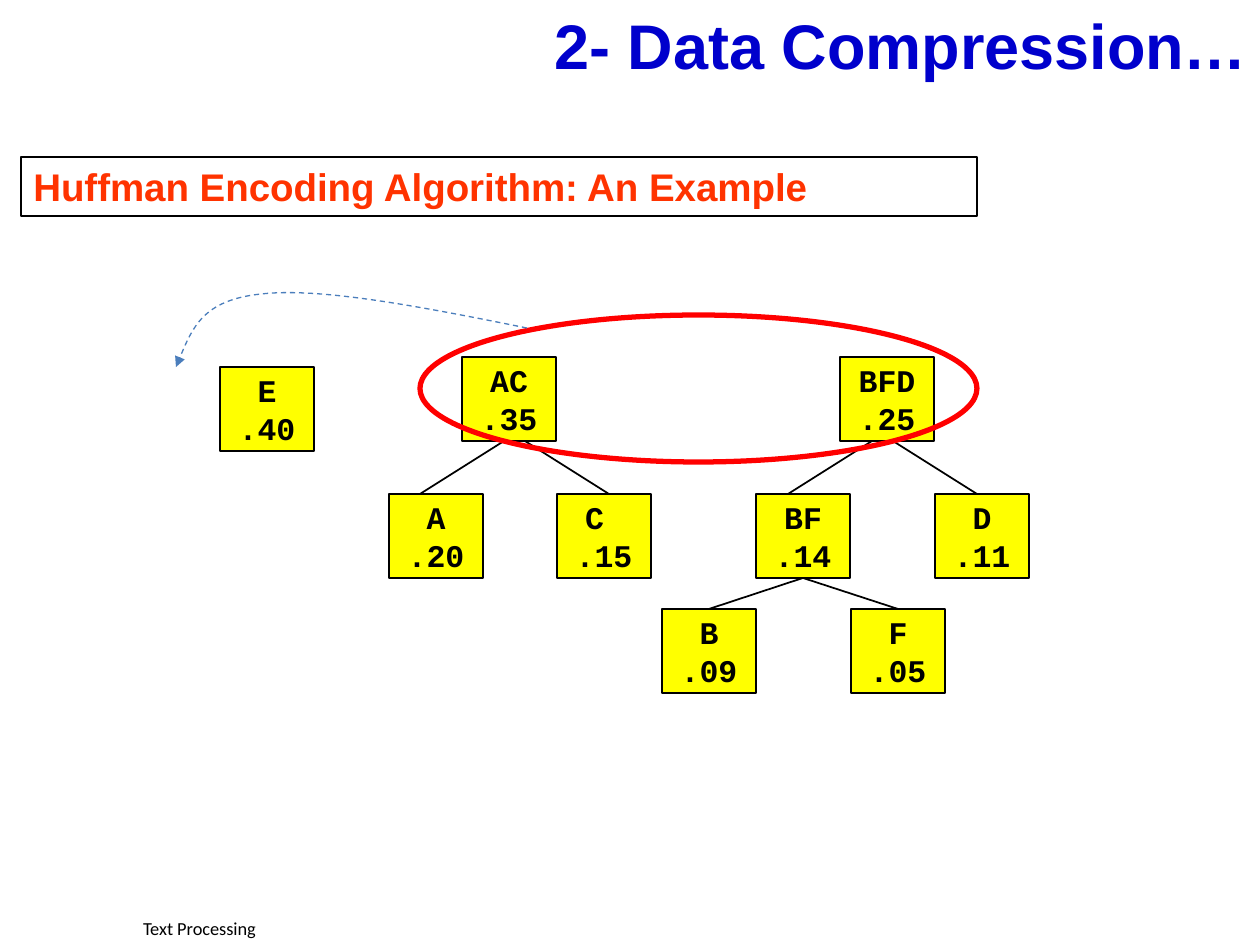
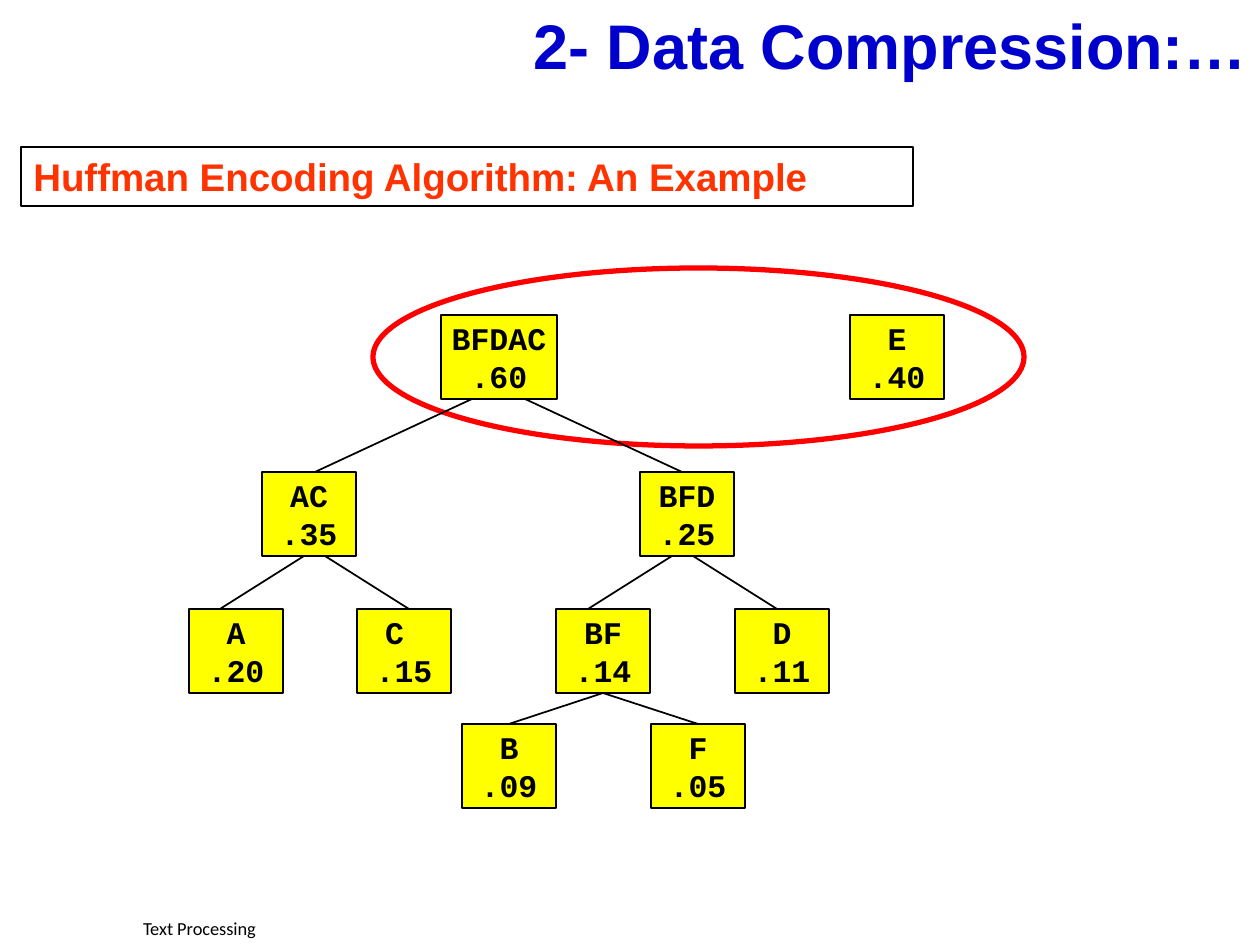
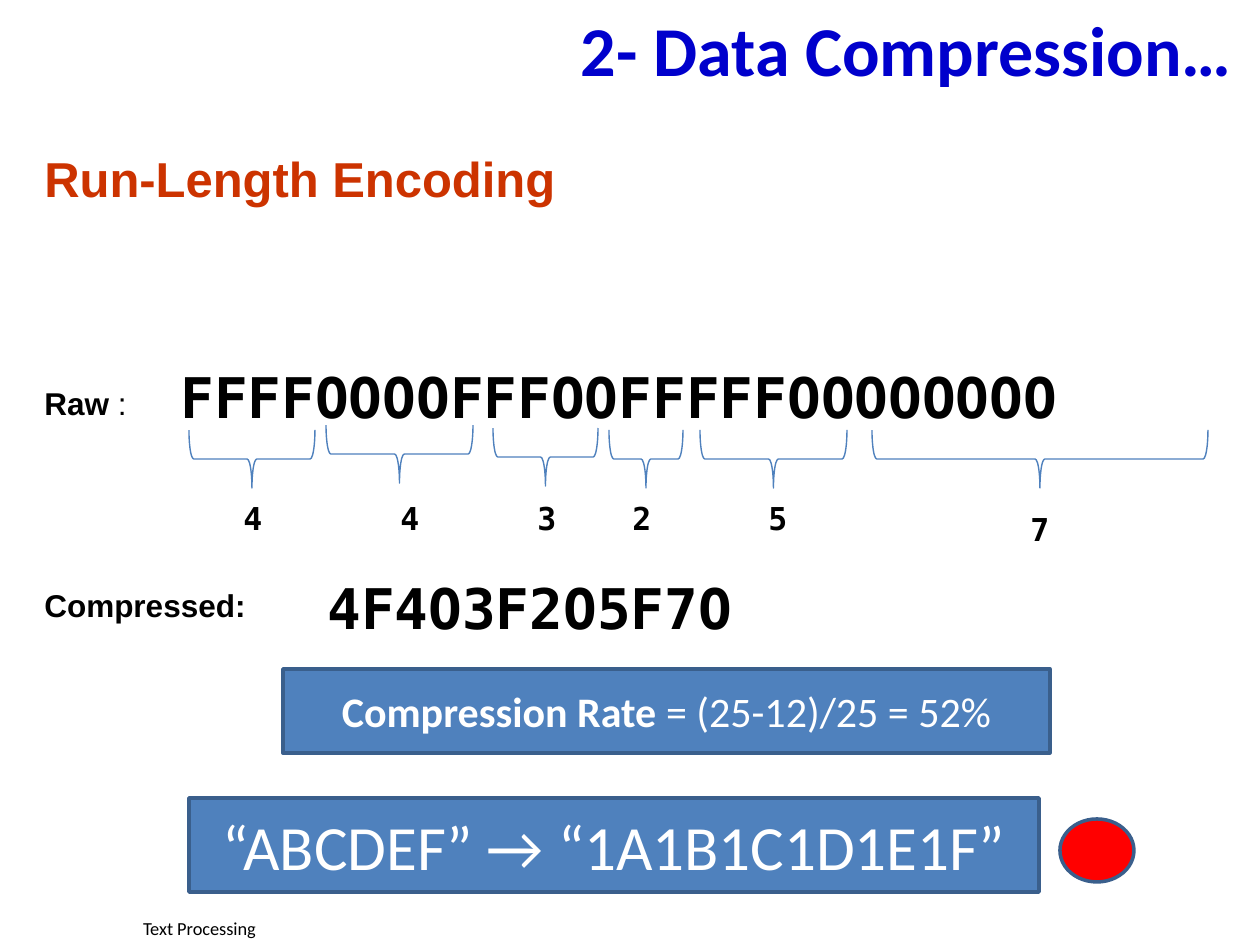
from lxml.etree import SubElement
from pptx import Presentation
from pptx.dml.color import RGBColor
from pptx.enum.dml import MSO_LINE
from pptx.enum.shapes import MSO_CONNECTOR, MSO_SHAPE
from pptx.enum.text import MSO_ANCHOR, MSO_AUTO_SIZE, PP_ALIGN
from pptx.oxml.ns import qn
from pptx.util import Emu, Pt

SCALE = 914400 / 126  # EMU in one pixel
PAGE_WIDTH, PAGE_HEIGHT = 1260, 945

COLOURS = {
    "black": "000000", "white": "FFFFFF", "title": "0000CC",
    "heading": "FF3300", "section": "CC3300", "node": "FFFF00",
    "red": "FF0000", "arrow": "4B7EBC", "panel": "4F81BD",
    "panel edge": "3A5F8C",
}

# Text formats
TITLE = {"name": "Arial", "size": 36, "bold": True, "color": "title"}
WIDE_TITLE = TITLE | {"name": "Calibri", "size": 40}
FOOTER = {"name": "Calibri", "size": 10.5, "bold": False, "color": "black"}
HEADING = {"name": "Arial", "size": 22, "bold": True, "color": "heading"}
SECTION = {"name": "Arial", "size": 28, "bold": True, "color": "section"}
NODE = {"name": "Courier New", "size": 18, "bold": True, "color": "black"}
LABEL = NODE | {"name": "Arial"}
COUNT = NODE | {"name": "DejaVu Sans Mono"}
CODE = COUNT | {"size": 32}
RATE = {"name": "Calibri", "size": 24, "bold": False, "color": "white"}
SAMPLE = RATE | {"size": 36}

# Tree geometry: offsets are taken from the top left corner of the root node
NODE_WIDTH, NODE_HEIGHT = 94, 84
AC_TREE = {
    "nodes": [("AC", ".35", 0, 0), ("A", ".20", -73, 137),
              ("C ", ".15", 95, 137)],
    "branches": [(42, 84, -42, 137), (63, 84, 147, 137)],
}
BFD_TREE = {
    "nodes": [("BFD", ".25", 0, 0), ("BF", ".14", -84, 137),
              ("D", ".11", 95, 137), ("B", ".09", -178, 252),
              ("F", ".05", 11, 252)],
    "branches": [(32, 84, -52, 137), (53, 84, 137, 137),
                 (-37, 221, -131, 252), (-37, 221, 58, 252)],
}


def px(value):
    return Emu(round(value * SCALE))


def colour(name):
    return RGBColor.from_string(COLOURS[name])


def write(shape, paragraphs, align=PP_ALIGN.LEFT, anchor=MSO_ANCHOR.TOP, wrap=True):
    """Fill a shape with paragraphs, each a list of (text, format) spans."""
    frame = shape.text_frame
    frame.auto_size = MSO_AUTO_SIZE.NONE
    frame.word_wrap, frame.vertical_anchor = wrap, anchor
    for index, spans in enumerate(paragraphs):
        para = frame.add_paragraph() if index else frame.paragraphs[0]
        para.alignment = align
        for text, style in spans:
            span = para.add_run()
            span.text = text
            for key, value in style.items():
                if key == "color":
                    span.font.color.rgb = colour(value)
                else:
                    setattr(span.font, key, Pt(value) if key == "size" else value)


def paint(shape, fill, line, width):
    shape.shadow.inherit = False
    if fill:
        shape.fill.solid()
        shape.fill.fore_color.rgb = colour(fill)
    else:
        shape.fill.background()
    shape.line.color.rgb = colour(line)
    shape.line.width = Pt(width)


def add_figure(page, kind, box, fill, line, width):
    shape = page.shapes.add_shape(kind, *map(px, box))
    paint(shape, fill, line, width)
    return shape


def add_text(page, box, spans, **layout):
    write(page.shapes.add_textbox(*map(px, box)), [spans], **layout)


def add_page(deck, title, box, style):
    """Start a slide with its title and footer."""
    page = deck.slides.add_slide(deck.slide_layouts[5])
    heading = page.shapes.title
    heading.left, heading.top, heading.width, heading.height = map(px, box)
    write(heading, [[(title, style)]], PP_ALIGN.RIGHT, MSO_ANCHOR.MIDDLE)
    add_text(page, (0, 911, 399, 34), [("Text Processing", FOOTER)],
             align=PP_ALIGN.CENTER, anchor=MSO_ANCHOR.MIDDLE)
    return page


def add_heading(page, box):
    shape = add_figure(page, MSO_SHAPE.RECTANGLE, box, None, "black", 0.75)
    write(shape, [[("Huffman Encoding Algorithm: An Example", HEADING)]])


def add_node(page, name, weight, left, top, width=NODE_WIDTH):
    shape = add_figure(page, MSO_SHAPE.RECTANGLE, (left, top, width, NODE_HEIGHT),
                       "node", "black", 1)
    write(shape, [[(name, NODE)], [(weight, NODE)]],
          PP_ALIGN.CENTER, MSO_ANCHOR.MIDDLE, False)


def add_branch(page, *ends):
    branch = page.shapes.add_connector(MSO_CONNECTOR.STRAIGHT, *map(px, ends))
    branch.line.color.rgb = colour("black")
    branch.line.width = Pt(1)
    SubElement(branch._element.spPr, qn("a:effectLst"))


def add_tree(page, tree, left, top):
    for x1, y1, x2, y2 in tree["branches"]:
        add_branch(page, left + x1, top + y1, left + x2, top + y2)
    for name, weight, x, y in tree["nodes"]:
        add_node(page, name, weight, left + x, top + y)


def add_ring(page, box):
    add_figure(page, MSO_SHAPE.OVAL, box, None, "red", 3)


def add_curved_arrow(page, start, points):
    """Draw a dashed Bezier curve; every three points make one segment."""
    builder = page.shapes.build_freeform(*start, scale=SCALE)
    builder.add_line_segments(points, close=False)
    arrow = builder.convert_to_shape()
    paint(arrow, None, "arrow", 0.75)
    arrow.line.dash_style = MSO_LINE.DASH
    properties = arrow._element.spPr
    SubElement(properties.find(qn("a:ln")), qn("a:tailEnd"), type="triangle")
    # Turn the straight segments into cubic ones
    segments = list(properties.iter(qn("a:lnTo")))
    outline = segments[0].getparent()
    for first in range(0, len(segments), 3):
        curve = SubElement(outline, qn("a:cubicBezTo"))
        for segment in segments[first:first + 3]:
            curve.append(segment[0])
            outline.remove(segment)


def add_run_count(page, count, brace, label):
    """Mark a run with a brace (left, top, length) and its count."""
    left, top, length = brace
    depth = 58
    # The box is given before the quarter turn around its centre
    box = (left + (length - depth) / 2, top + (depth - length) / 2, depth, length)
    shape = add_figure(page, MSO_SHAPE.LEFT_BRACE, box, None, "panel", 0.79)
    shape.rotation = 270
    add_text(page, (*label, 43, 50), [(count, COUNT)], wrap=False)


def add_panel(page, box, spans):
    shape = add_figure(page, MSO_SHAPE.RECTANGLE, box, "panel", "panel edge", 2)
    write(shape, [spans], PP_ALIGN.CENTER, MSO_ANCHOR.MIDDLE)


def build_two_trees(deck):
    page = add_page(deck, "2- Data Compression…", (94, 0, 1166, 89), TITLE)
    add_heading(page, (21, 157, 956, 59))
    add_node(page, "E", ".40", 220, 367)
    add_tree(page, BFD_TREE, 840, 357)
    add_tree(page, AC_TREE, 462, 357)
    add_ring(page, (420, 315, 557, 147))
    add_curved_arrow(page, (527, 328), [(423, 307), (320, 287), (261, 294),
                                        (203, 300), (190, 333), (176, 367)])


def build_joined_tree(deck):
    page = add_page(deck, "2- Data Compression:…", (94, 0, 1166, 89), TITLE)
    add_heading(page, (21, 147, 892, 59))
    add_node(page, "E", ".40", 850, 315)
    add_ring(page, (373, 268, 651, 178))
    # New root above both subtrees
    add_node(page, "BFDAC", ".60", 441, 315, 116)
    add_branch(page, 472, 399, 315, 472)
    add_branch(page, 525, 399, 682, 472)
    add_tree(page, BFD_TREE, 640, 472)
    add_tree(page, AC_TREE, 262, 472)


def build_run_length(deck):
    page = add_page(deck, "2- Data Compression… ", (126, 0, 1134, 97), WIDE_TITLE)
    add_text(page, (32, 142, 608, 72), [("Run-Length Encoding", SECTION)])
    # Raw and compressed strings
    add_text(page, (32, 378, 107, 50),
             [("Raw", LABEL), (" :", LABEL | {"bold": False})], wrap=False)
    add_text(page, (168, 357, 1092, 79), [("FFFFOOOOFFFOOFFFFFOOOOOOOO", CODE)],
             anchor=MSO_ANCHOR.MIDDLE)
    add_text(page, (32, 580, 227, 50), [("Compressed:", LABEL)], wrap=False)
    add_text(page, (315, 568, 462, 79), [("4F4O3F2O5F7O", CODE)],
             anchor=MSO_ANCHOR.MIDDLE)
    # Length of each run
    for count, brace, label in [
        ("4", (189, 430, 126), (231, 493)),
        ("4", (326, 425, 147), (388, 493)),
        ("3", (493, 428, 105), (525, 493)),
        ("2", (609, 430, 74), (620, 493)),
        ("5", (700, 430, 147), (756, 493)),
        ("7", (872, 430, 336), (1018, 504)),
    ]:
        add_run_count(page, count, brace, label)
    # Compression rate and worst case
    add_panel(page, (283, 669, 767, 84),
              [("Compression Rate ", RATE | {"bold": True}),
               ("= (25-12)/25 = 52%", RATE)])
    add_panel(page, (189, 798, 850, 94), [("“ABCDEF” → “1A1B1C1D1E1F”", SAMPLE)])
    add_figure(page, MSO_SHAPE.OVAL, (1060, 819, 74, 63), "red", "panel edge", 2)


deck = Presentation()
deck.slide_width, deck.slide_height = px(PAGE_WIDTH), px(PAGE_HEIGHT)
build_two_trees(deck)
build_joined_tree(deck)
build_run_length(deck)
deck.save("out.pptx")
